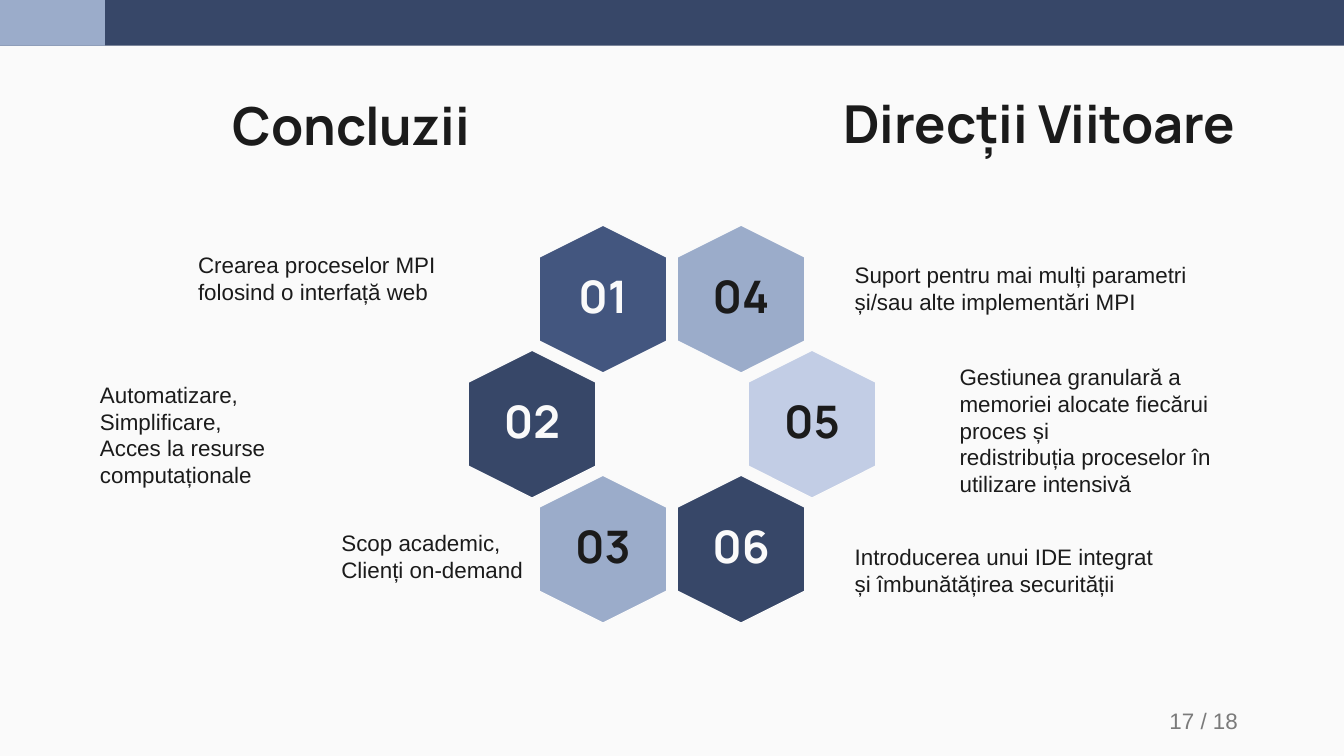
from dataclasses import dataclass

from pptx import Presentation
from pptx.dml.color import RGBColor as RGB
from pptx.enum.shapes import MSO_SHAPE as SHAPE
from pptx.enum.text import MSO_ANCHOR as ANCHOR, MSO_AUTO_SIZE as FIT, PP_ALIGN as ALIGN
from pptx.util import Pt


@dataclass(frozen=True)
class Theme:
    """Colours, fonts and type sizes of the slide."""
    paper: str = "FAFAFA"
    ink: str = "1B1B1B"
    grey: str = "7A7A7A"
    navy: str = "374768"
    blue: str = "43567F"
    sky: str = "9BACCA"
    pale: str = "C2CDE5"
    display: str = "Manrope"
    body: str = "Arial"
    heading: int = 28
    number: int = 24
    text: int = 12


T = Theme()


def place(sp, box):
    """Move a shape to a box of left, top, width and height."""
    sp.left, sp.top, sp.width, sp.height = map(Pt, box)


def write(sp, lines, size, font, color, bold=False, align=ALIGN.LEFT, anchor=ANCHOR.TOP, inset=7.2):
    """Fill a shape with one paragraph per line."""
    tf = sp.text_frame
    tf.word_wrap, tf.auto_size, tf.vertical_anchor = True, FIT.NONE, anchor
    tf.margin_left = tf.margin_right = tf.margin_top = tf.margin_bottom = Pt(inset)
    for i, line in enumerate(lines):
        p = tf.add_paragraph() if i else tf.paragraphs[0]
        p.alignment = align
        for j, part in enumerate(line.split("\n")):
            if j:
                p.add_line_break()
            r = p.add_run()
            r.text = part
            r.font.size, r.font.name, r.font.bold = Pt(size), font, bold
            r.font.color.rgb = RGB.from_string(color)


def add_text(s, box, lines, *style, **options):
    """Add a text box with the given style."""
    write(s.shapes.add_textbox(*map(Pt, box)), lines, *style, **options)


def add_block(s, kind, box, fill):
    """Add a flat filled shape without outline."""
    sp = s.shapes.add_shape(kind, *map(Pt, box))
    sp.shadow.inherit = False
    sp.fill.solid()
    sp.fill.fore_color.rgb = RGB.from_string(fill)
    sp.line.fill.background()
    return sp


def header_band(s, box, accent):
    """Draw the top band with its lighter left end."""
    left, top, width, height = box
    add_block(s, SHAPE.RECTANGLE, box, T.navy)
    add_block(s, SHAPE.RECTANGLE, (left, top, accent, height), T.sky)


def headings(s, left_box, right_box):
    """Set the title on the left and the second heading on the right."""
    style = (T.heading, T.display, T.ink, True, ALIGN.CENTER)
    place(s.shapes.title, left_box)
    write(s.shapes.title, ["Concluzii "], *style)
    add_text(s, right_box, ["Direcții Viitoare "], *style)


def hexagon(s, cx, cy, label, fill, color):
    """Draw one upright hexagon with its number."""
    w, h = 79.2, 68.4
    sp = add_block(s, SHAPE.HEXAGON, (cx - w / 2, cy - h / 2, w, h), fill)
    sp.rotation = 90
    sp.adjustments[0], sp.adjustments[1] = 0.25, 1.1547
    sp.line.color.rgb = RGB.from_string(T.paper)
    sp.line.width = Pt(0.75)
    add_text(s, (cx - 27.7, cy - 19.8, 55.4, 39.6), [label], T.number, T.display, color,
             True, ALIGN.CENTER, ANCHOR.BOTTOM)


def hex_ring(s, box):
    """Arrange six numbered hexagons, three on each side of the box."""
    left, top, width, height = box
    mid, pitch = left + width / 2, 67
    sides = (
        (-1, ((T.blue, T.paper), (T.navy, T.paper), (T.sky, T.ink))),
        (1, ((T.sky, T.ink), (T.pale, T.ink), (T.navy, T.paper))),
    )
    number = 0
    for side, cells in sides:
        for row, (fill, color) in enumerate(cells):
            number += 1
            reach = 75 if row == 1 else 37
            cy = top + height / 2 + (row - 1) * pitch
            hexagon(s, mid + side * reach, cy, f"{number:02}", fill, color)


def notes_column(s, notes):
    """Place the text that belongs to each number."""
    for box, lines in notes:
        add_text(s, box, lines, T.text, T.body, T.ink)


def page_number(s, box):
    """Write the page count at the lower right."""
    add_text(s, box, ["17 / 18"], T.text, T.body, T.grey, align=ALIGN.RIGHT, anchor=ANCHOR.MIDDLE)


def main():
    """Build and save the slide."""
    prs = Presentation()
    prs.slide_width, prs.slide_height = Pt(720), Pt(405)
    s = prs.slides.add_slide(prs.slide_layouts[5])
    s.background.fill.solid()
    s.background.fill.fore_color.rgb = RGB.from_string(T.paper)
    header_band(s, (0, 0, 720, 24.5), 56.2)
    headings(s, (57, 42.5, 268, 45.4), (425.5, 41.5, 268, 45.4))
    hex_ring(s, (251, 121, 218, 212.5))
    notes_column(s, (
        ((99, 127.5, 184.3, 45.4), ["Crearea proceselor MPI", "folosind o interfață web"]),
        ((46.5, 196.8, 184.3, 58.3),
         ["Automatizare, \nSimplificare,", "Acces la resurse computaționale"]),
        ((175.8, 276.5, 184.3, 45.4), ["Scop academic,", "Clienți on-demand"]),
    ))
    notes_column(s, (
        ((450.8, 132.8, 225.4, 45.4),
         ["Suport pentru mai mulți parametri și/sau alte implementări MPI"]),
        ((507, 187.2, 180, 73.4),
         ["Gestiunea granulară a memoriei alocate fiecărui proces și \n"
          "redistribuția proceselor în utilizare intensivă"]),
        ((450.8, 283.7, 184.3, 45.4),
         ["Introducerea unui IDE integrat și îmbunătățirea securității"]),
    ))
    page_number(s, (508.3, 375.4, 162, 21.6))
    prs.save("out.pptx")


if __name__ == "__main__":
    main()
